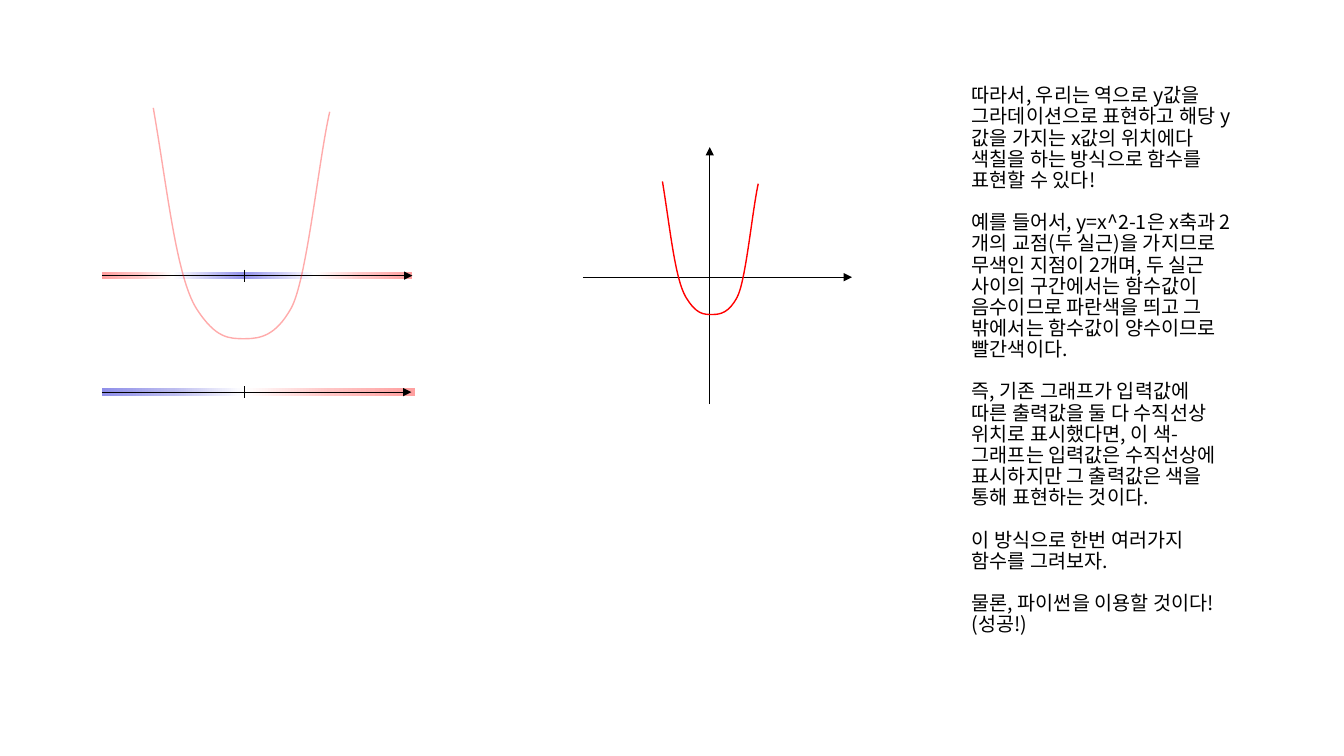
from lxml import etree
from pptx import Presentation
from pptx.dml.color import RGBColor
from pptx.enum import shapes, text
from pptx.oxml import ns
from pptx.util import Inches, Pt

BLACK = RGBColor(0x00, 0x00, 0x00)
WHITE = RGBColor(0xFF, 0xFF, 0xFF)
RED = RGBColor(0xFF, 0x00, 0x00)
ROSE = RGBColor(0xFF, 0xA0, 0xA0)
PALE_ROSE = RGBColor(0xFF, 0xC5, 0xC5)
BLUE = RGBColor(0x8F, 0x8F, 0xE9)
PALE_BLUE = RGBColor(0xBC, 0xBC, 0xEF)
MID_BLUE = RGBColor(0x94, 0x93, 0xEB)

FONT = "Noto Sans CJK KR"
PARAGRAPHS = [
    "따라서, 우리는 역으로 y값을 그라데이션으로 표현하고 해당 y값을 가지는 x값의 위치에다 "
    "색칠을 하는 방식으로 함수를 표현할 수 있다!",
    "예를 들어서, y=x^2-1은 x축과 2개의 교점(두 실근)을 가지므로 무색인 지점이 2개며, "
    "두 실근 사이의 구간에서는 함수값이 음수이므로 파란색을 띄고 그 밖에서는 함수값이 양수이므로 빨간색이다.",
    "즉, 기존 그래프가 입력값에 \v따른 출력값을 둘 다 수직선상 위치로 표시했다면, "
    "이 색-그래프는 입력값은 수직선상에 표시하지만 그 출력값은 색을 통해 표현하는 것이다.",
    "이 방식으로 한번 여러가지 함수를 그려보자.",
    "물론, 파이썬을 이용할 것이다!\v(성공!)",
]

# Bezier nodes of the parabola, as fractions of its box
PARABOLA = [
    (0, 0), (0.08, 0.35), (0.13, 0.73), (0.245, 0.87),
    (0.355, 1), (0.43, 1), (0.52, 1),
    (0.61, 1), (0.695, 0.985), (0.78, 0.87),
    (0.87, 0.75), (0.935, 0.235), (1, 0.017),
]


def add_gradient_bar(page, left, top, width, height, colors):
    """Borderless bar with evenly spaced colours from left to right."""
    bar = page.shapes.add_shape(shapes.MSO_SHAPE.RECTANGLE, Inches(left), Inches(top),
                                Inches(width), Inches(height))
    bar.shadow.inherit = False
    bar.line.fill.background()
    bar.fill.gradient()
    bar.fill.gradient_angle = 0
    stops = bar._element.spPr.find(ns.qn("a:gradFill")).find(ns.qn("a:gsLst"))
    for stop in list(stops):
        stops.remove(stop)
    for index, color in enumerate(colors):
        position = round(100000 * index / (len(colors) - 1))
        stop = etree.SubElement(stops, ns.qn("a:gs"), pos=str(position))
        etree.SubElement(stop, ns.qn("a:srgbClr"), val=str(color))


def add_line(page, start, end, arrow=False):
    line = page.shapes.add_connector(shapes.MSO_CONNECTOR.STRAIGHT,
                                     *(Inches(value) for value in start + end))
    line.line.color.rgb = BLACK
    line.line.width = Pt(0.5)
    if arrow:
        etree.SubElement(line.line._get_or_add_ln(), ns.qn("a:tailEnd"), type="triangle")
    etree.SubElement(line._element.spPr, ns.qn("a:effectLst"))


def add_parabola(page, left, top, width, height, opacity=100):
    nodes = [(Inches(left + x * width), Inches(top + y * height)) for x, y in PARABOLA]
    builder = page.shapes.build_freeform(*nodes[0])
    builder.add_line_segments(nodes[1:], close=False)
    curve = builder.convert_to_shape()
    # Join each three straight steps into one Bezier segment
    outline = curve._element.spPr.find(".//" + ns.qn("a:path"))
    steps = outline.findall(ns.qn("a:lnTo"))
    for first in range(0, len(steps), 3):
        segment = etree.SubElement(outline, ns.qn("a:cubicBezTo"))
        for step in steps[first:first + 3]:
            segment.append(step[0])
            outline.remove(step)
    curve.shadow.inherit = False
    curve.fill.background()
    curve.line.color.rgb = RED
    curve.line.width = Pt(1)
    if opacity < 100:
        color = curve.line._get_or_add_ln().find(".//" + ns.qn("a:srgbClr"))
        etree.SubElement(color, ns.qn("a:alpha"), val=str(opacity * 1000))


def add_number_line(page, left, top, length, bar_height, bars):
    """Coloured bars side by side, then the axis and its origin tick."""
    bar_left = left
    for width, colors in bars:
        add_gradient_bar(page, bar_left, top, width, bar_height, colors)
        bar_left += width
    middle = top + bar_height / 2
    add_line(page, (left, middle), (left + length, middle), arrow=True)
    origin = left + 1.41
    add_line(page, (origin, middle - 0.06), (origin, middle + 0.06))


def add_color_graph(page, left, top):
    """Number line coloured by the function, its curve and the colour scale."""
    add_number_line(page, left, top + 1.63, 3.08, 0.07, [
        (0.7, (ROSE, PALE_ROSE, WHITE)),
        (1.41, (WHITE, MID_BLUE, WHITE)),
        (0.97, (WHITE, PALE_ROSE, ROSE)),
    ])
    add_number_line(page, left, top + 2.78, 3.07, 0.08, [
        (1.41, (BLUE, PALE_BLUE, WHITE)),
        (1.7, (WHITE, PALE_ROSE, ROSE)),
    ])
    add_parabola(page, left + 0.51, top, 1.75, 2.29, opacity=32)


def add_plane_graph(page, left, top, width, height):
    """Usual x and y axes with the same curve."""
    axis_x, axis_y = left + 1.26, top + 1.29
    add_line(page, (axis_x, top + height), (axis_x, top), arrow=True)
    add_line(page, (left, axis_y), (left + width, axis_y), arrow=True)
    add_parabola(page, left + 0.79, top + 0.34, 0.95, 1.32)


def add_explanation(page, left, top, width, height):
    box = page.shapes.add_textbox(Inches(left), Inches(top), Inches(width), Inches(height))
    frame = box.text_frame
    frame.word_wrap = True
    frame.vertical_anchor = text.MSO_ANCHOR.MIDDLE
    for index, words in enumerate(PARAGRAPHS):
        para = frame.add_paragraph() if index else frame.paragraphs[0]
        para.text = words
        para.line_spacing = 0.9
        if index:
            para.space_before = Pt(15)
        for span in para.runs:
            span.font.size = Pt(14)
            span.font.color.rgb = BLACK
            span.font.name = FONT
            span.font._element.set("kern", "1200")
            etree.SubElement(span.font._element, ns.qn("a:ea"), typeface=FONT)


def main():
    deck = Presentation()
    deck.slide_width, deck.slide_height = Inches(13.33), Inches(7.5)
    page = deck.slides.add_slide(deck.slide_layouts[6])
    add_color_graph(page, 1.01, 1.07)
    add_plane_graph(page, 5.78, 1.46, 2.67, 2.55)
    add_explanation(page, 9.54, 0.4, 2.88, 6.36)
    deck.save("out.pptx")


if __name__ == "__main__":
    main()
